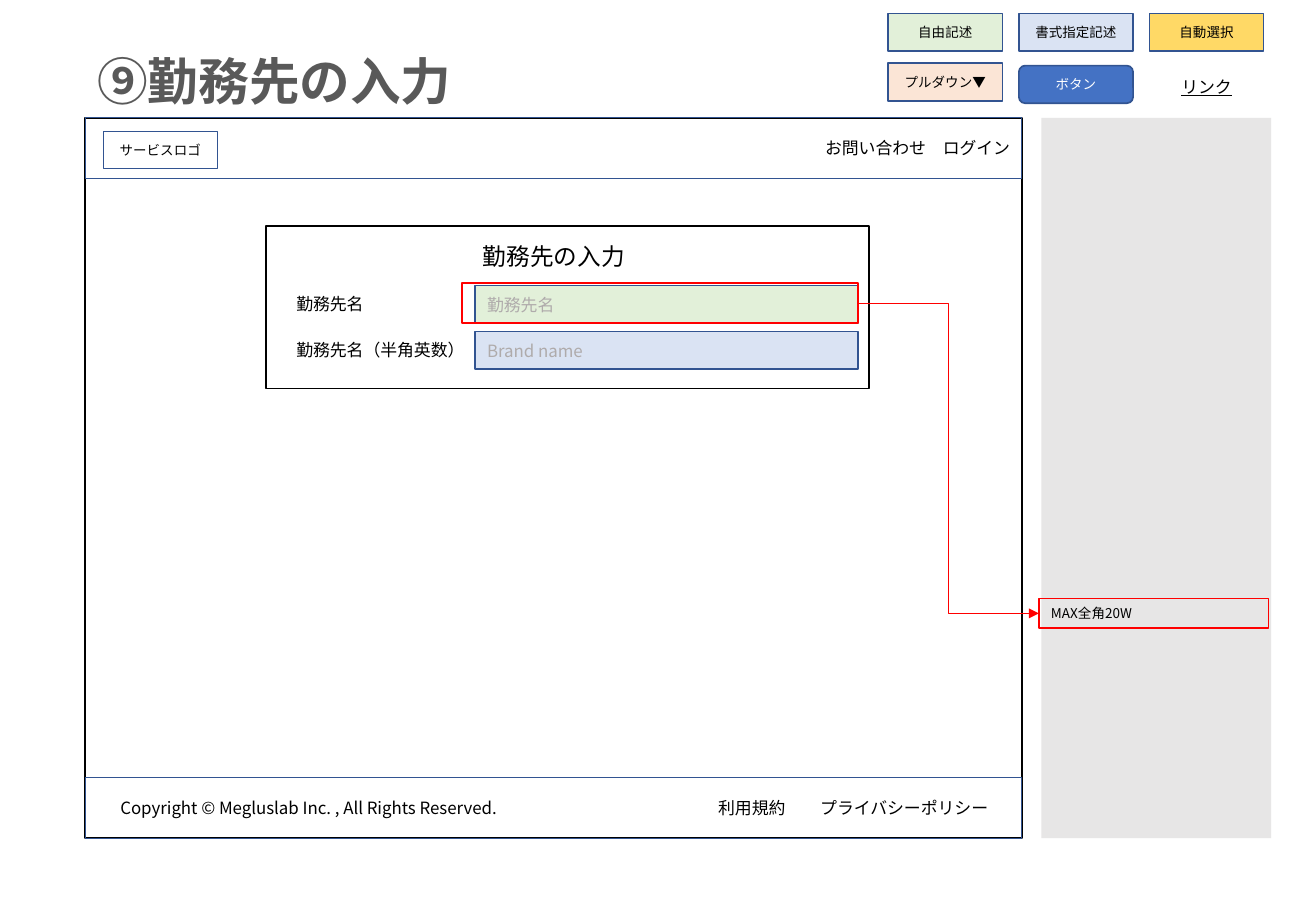
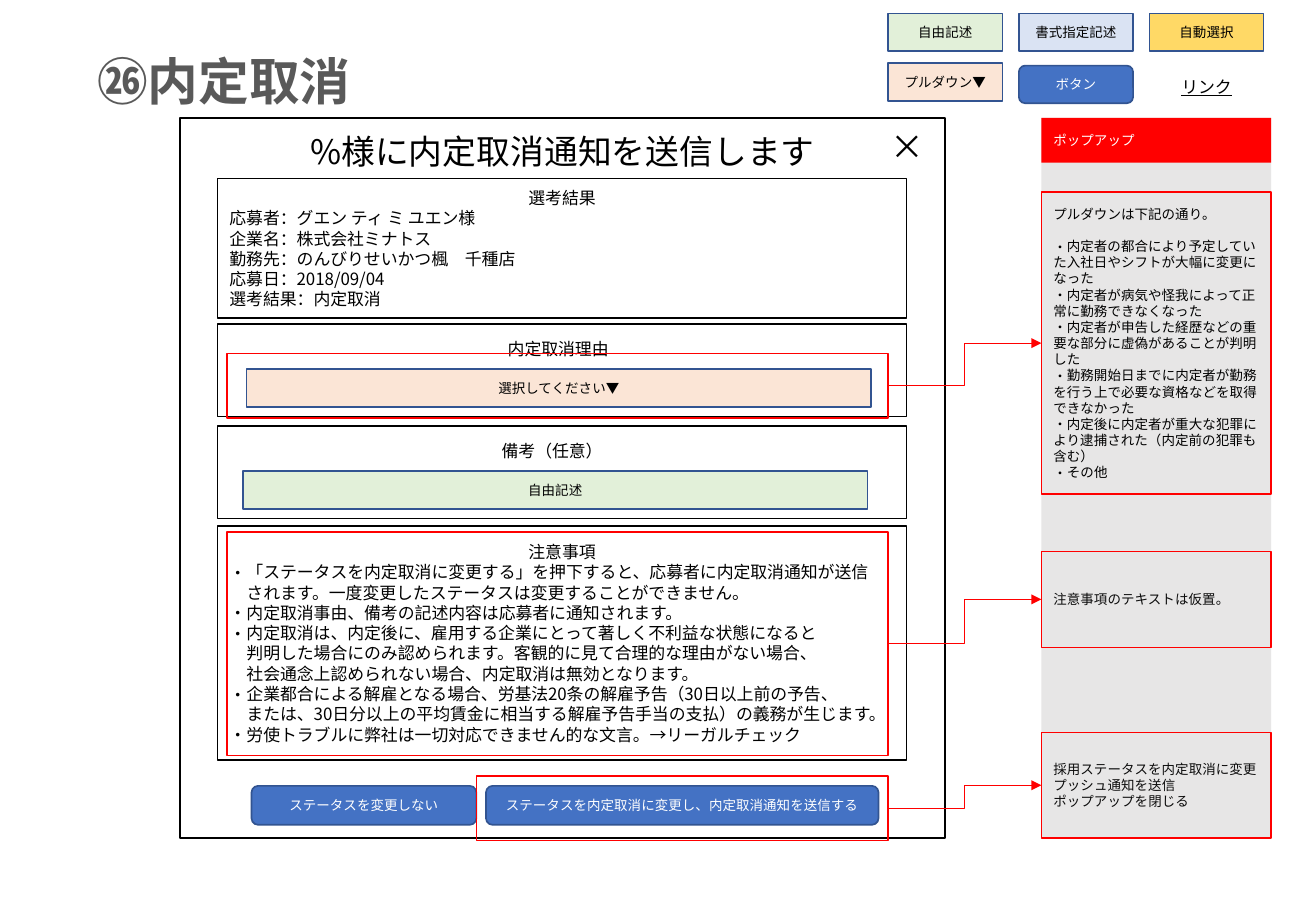
from copy import deepcopy
from dataclasses import dataclass

from pptx import Presentation
from pptx.dml.color import RGBColor
from pptx.enum.shapes import MSO_CONNECTOR as Connector, MSO_SHAPE as Preset
from pptx.enum.text import MSO_ANCHOR as Anchor, MSO_AUTO_SIZE as AutoSize, PP_ALIGN as Align
from pptx.oxml.ns import qn
from pptx.oxml.xmlchemy import OxmlElement
from pptx.util import Inches, Pt

FONT = "Noto Sans CJK JP"
BLACK = RGBColor(0x00, 0x00, 0x00)
INK = RGBColor(0x0D, 0x0D, 0x0D)
WHITE = RGBColor(0xFF, 0xFF, 0xFF)
TITLE_GRAY = RGBColor(0x59, 0x59, 0x59)
HINT_GRAY = RGBColor(0xAF, 0xAB, 0xAB)
PANEL_GRAY = RGBColor(0xE7, 0xE6, 0xE6)
NAVY = RGBColor(0x32, 0x54, 0x91)
BLUE = RGBColor(0x44, 0x72, 0xC4)
PALE_BLUE = RGBColor(0xDA, 0xE3, 0xF3)
GREEN = RGBColor(0xE2, 0xF0, 0xD9)
PEACH = RGBColor(0xFB, 0xE5, 0xD6)
YELLOW = RGBColor(0xFF, 0xD9, 0x66)
RED = RGBColor(0xFF, 0x00, 0x00)


@dataclass
class Box:
    """A rectangle in inches."""
    left: float
    top: float
    width: float
    height: float

    def inside(self, x, y, width, height):
        """Return a box placed relative to this one."""
        return Box(self.left + x, self.top + y, width, height)

    def lengths(self):
        """Return left, top, width and height as lengths."""
        return [Inches(value) for value in (self.left, self.top, self.width, self.height)]


TITLE = Box(0.7, 0.36, 9.39, 0.61)
LEGEND = Box(7.31, 0.11, 3.09, 0.72)
PANEL = Box(8.57, 0.97, 1.89, 5.93)
PAGE = Box(0.7, 0.97, 7.71, 5.93)
POPUP = Box(1.48, 0.97, 6.3, 5.93)


def add_element(parent, tag, **attributes):
    """Append an XML element with attributes."""
    element = OxmlElement(tag)
    for name, value in attributes.items():
        element.set(name, str(value))
    parent.append(element)
    return element


def write(shape, text, size=10, color=BLACK, align=Align.LEFT, anchor=Anchor.MIDDLE,
          bold=False, underline=False, bullet=None, tabs=(), space_after=0):
    """Add a paragraph, or a list of them, to a shape."""
    frame = shape.text_frame
    frame.word_wrap = True
    frame.vertical_anchor = anchor
    for line in [text] if isinstance(text, str) else text:
        paragraph = frame.add_paragraph() if frame.text else frame.paragraphs[0]
        paragraph.text = line
        paragraph.alignment = align
        paragraph.space_before = Pt(0)
        paragraph.space_after = Pt(space_after)
        properties = paragraph._p.get_or_add_pPr()
        if bullet is not None:
            properties.set("marL", str(Inches(bullet)))
            properties.set("indent", str(-Inches(bullet)))
            add_element(properties, "a:buFont", typeface=FONT)
            add_element(properties, "a:buChar", char="・")
        if tabs:
            tab_list = add_element(properties, "a:tabLst")
            for position in tabs:
                add_element(tab_list, "a:tab", pos=Inches(position), algn="l")
        for run in paragraph.runs:
            font = run.font
            font.name, font.size = FONT, Pt(size)
            font.bold, font.underline = bold, underline
            font.color.rgb = color
            add_element(run._r.get_or_add_rPr(), "a:ea", typeface=FONT)
        for line_break in paragraph._p.findall(qn("a:br")):
            line_break.append(deepcopy(paragraph.runs[0]._r.rPr))
    return shape


def add_box(slide, box, text="", fill=None, line=None, weight=1.0,
            preset=Preset.RECTANGLE, **text_format):
    """Add a preset shape with optional fill, line and text."""
    shape = slide.shapes.add_shape(preset, *box.lengths())
    shape.shadow.inherit = False
    if fill is None:
        shape.fill.background()
    else:
        shape.fill.solid()
        shape.fill.fore_color.rgb = fill
    if line is None:
        shape.line.fill.background()
    else:
        shape.line.color.rgb = line
        shape.line.width = Pt(weight)
    if text:
        write(shape, text, **text_format)
    return shape


def add_label(slide, box, text, **text_format):
    """Add a plain text box."""
    return write(slide.shapes.add_textbox(*box.lengths()), text, anchor=Anchor.TOP, **text_format)


def add_control(slide, box, text, fill, size=8, align=Align.CENTER, **options):
    """Add a form control with a navy outline."""
    return add_box(slide, box, text, fill=fill, line=NAVY, size=size, align=align, **options)


def add_button(slide, box, text):
    """Add a rounded blue button."""
    return add_control(slide, box, text, BLUE, preset=Preset.ROUNDED_RECTANGLE, color=WHITE)


def add_note(slide, box, text, source, color=INK, weight=1.0):
    """Add a red note and the arrow that leads to it."""
    note = add_box(slide, box, text, line=RED, weight=weight, size=8, color=color)
    arrow = slide.shapes.add_connector(Connector.ELBOW, 0, 0, 0, 0)
    arrow.begin_connect(source, 3)
    arrow.end_connect(note, 1)
    arrow.line.color.rgb = RED
    arrow.line.width = Pt(0.5)
    add_element(arrow.line._get_or_add_ln(), "a:tailEnd", type="triangle")
    add_element(arrow._element.spPr, "a:effectLst")
    return note


def add_legend(slide, box):
    """Add the key to the kinds of control."""
    width, height = 0.94, 0.31
    step_x = (box.width - width) / 2
    step_y = box.height - height
    top_row = [("自由記述", GREEN), ("書式指定記述", PALE_BLUE), ("自動選択", YELLOW)]
    for column, (text, fill) in enumerate(top_row):
        add_control(slide, box.inside(column * step_x, 0, width, height), text, fill)
    add_control(slide, box.inside(0, step_y, width, height), "プルダウン▼", PEACH)
    add_button(slide, box.inside(step_x, step_y + 0.02, width, height), "ボタン")
    add_label(slide, box.inside(2 * step_x, step_y + 0.06, width, 0.27), "リンク",
              align=Align.CENTER, underline=True)


def start_slide(presentation, title):
    """Add a slide with its title, legend and side panel."""
    slide = presentation.slides.add_slide(presentation.slide_layouts[5])
    heading = slide.shapes.title
    heading.left, heading.top, heading.width, heading.height = TITLE.lengths()
    heading.text_frame.auto_size = AutoSize.NONE
    write(heading, title, size=30, color=TITLE_GRAY, bold=True, anchor=Anchor.TOP)
    add_legend(slide, LEGEND)
    add_box(slide, PANEL, fill=PANEL_GRAY)
    return slide


def add_page(slide, box):
    """Add the web page frame with its header and footer."""
    bar = 0.5
    add_box(slide, box, line=BLACK)
    add_box(slide, box.inside(0, 0, box.width, bar), "お問い合わせ　ログイン",
            line=NAVY, weight=0.5, align=Align.RIGHT)
    add_control(slide, box.inside(0.15, 0.11, 0.94, 0.31), "サービスロゴ", None, weight=0.5)
    footer = add_box(slide, box.inside(0, box.height - bar, box.width, bar),
                     "Copyright © Megluslab Inc. , All Rights Reserved.\t利用規約\tプライバシーポリシー",
                     line=NAVY, weight=0.5, tabs=(4.92, 5.76))
    footer.text_frame.margin_left = Inches(0.29)


def add_workplace_form(slide, box):
    """Add the workplace form and return its marked field."""
    add_box(slide, box, line=BLACK)
    add_label(slide, box.inside(-0.11, 0.08, box.width, 0.34), "勤務先の入力",
              size=14, align=Align.CENTER)
    rows = [("勤務先名", "勤務先名", GREEN), ("勤務先名（半角英数）", "Brand name", PALE_BLUE)]
    for index, (label, hint, fill) in enumerate(rows):
        top = 0.49 + index * 0.38
        add_label(slide, box.inside(0.15, top + 0.02, 1.74, 0.27), label)
        add_control(slide, box.inside(1.72, top, 3.15, 0.31), hint, fill,
                    size=10, color=HINT_GRAY, align=Align.LEFT)
    return add_box(slide, box.inside(1.61, 0.47, 3.26, 0.33), line=RED)


def add_result(slide, box):
    """Add the selection result."""
    result = add_box(slide, box, "選考結果", line=BLACK, align=Align.CENTER)
    write(result, ["応募者：グエン ティ ミ ユエン様", "企業名：株式会社ミナトス",
                   "勤務先：のんびりせいかつ楓　千種店", "応募日：2018/09/04", "選考結果：内定取消"])


def add_input_section(slide, box, heading, heading_x, control, control_x, fill):
    """Add a framed section with a heading and one control."""
    add_box(slide, box, line=BLACK)
    add_label(slide, box.inside(heading_x, 0.07, 1.18, 0.27), heading)
    add_control(slide, box.inside(control_x, 0.37, 5.14, 0.31), control, fill)


def add_cautions(slide, box):
    """Add the cautions and return their red frame."""
    cautions = add_box(slide, box, "注意事項", line=BLACK, align=Align.CENTER)
    write(cautions, [
        "「ステータスを内定取消に変更する」を押下すると、応募者に内定取消通知が送信\v"
        "されます。一度変更したステータスは変更することができません。",
        "内定取消事由、備考の記述内容は応募者に通知されます。",
        "内定取消は、内定後に、雇用する企業にとって著しく不利益な状態になると\v"
        "判明した場合にのみ認められます。客観的に見て合理的な理由がない場合、\v"
        "社会通念上認められない場合、内定取消は無効となります。",
        "企業都合による解雇となる場合、労基法20条の解雇予告（30日以上前の予告、\v"
        "または、30日分以上の平均賃金に相当する解雇予告手当の支払）の義務が生じます。",
        "労使トラブルに弊社は一切対応できません的な文言。→リーガルチェック",
    ], bullet=0.14)
    return add_box(slide, box.inside(0.08, 0.05, 5.44, 1.84), line=RED)


def add_popup(slide, box):
    """Add the cancellation popup and return its three red frames."""
    add_box(slide, box, line=BLACK)
    add_label(slide, box.inside(0, 0.06, box.width, 0.44), "%様に内定取消通知を送信します",
              size=20, align=Align.CENTER)
    add_label(slide, box.inside(5.67, 0.02, 0.63, 0.44), "×", size=20, align=Align.CENTER)
    left, width = 0.31, 5.67
    add_result(slide, box.inside(left, 0.5, width, 1.15))
    add_input_section(slide, box.inside(left, 1.7, width, 0.76), "内定取消理由", 2.29,
                      "選択してください▼", 0.24, PEACH)
    add_input_section(slide, box.inside(left, 2.54, width, 0.76), "備考（任意）", 2.24,
                      "自由記述", 0.21, GREEN)
    reason = add_box(slide, box.inside(0.39, 1.94, 5.44, 0.53), line=RED)
    cautions = add_cautions(slide, box.inside(left, 3.36, width, 1.93))
    add_button(slide, box.inside(0.59, 5.5, 1.85, 0.32), "ステータスを変更しない")
    add_button(slide, box.inside(2.52, 5.5, 3.23, 0.32),
               "ステータスを内定取消に変更し、内定取消通知を送信する")
    send = add_box(slide, box.inside(2.44, 5.42, 3.39, 0.53), line=RED)
    return reason, cautions, send


def add_popup_notes(slide, box, reason, cautions, send):
    """Add the side panel notes for the popup."""
    add_box(slide, box.inside(0, 0, box.width, 0.37), "ポップアップ", fill=RED, size=8, color=WHITE)
    choices = add_note(slide, box.inside(0, 0.61, box.width, 2.49), "", reason)
    write(choices, "プルダウンは下記の通り。", size=8, space_after=9.6)
    write(choices, [
        "内定者の都合により予定していた入社日やシフトが大幅に変更になった",
        "内定者が病気や怪我によって正常に勤務できなくなった",
        "内定者が申告した経歴などの重要な部分に虚偽があることが判明した",
        "勤務開始日までに内定者が勤務を行う上で必要な資格などを取得できなかった",
        "内定後に内定者が重大な犯罪により逮捕された（内定前の犯罪も含む）",
        "その他",
    ], size=8, bullet=0, tabs=(0.11,))
    add_note(slide, box.inside(0, 3.57, box.width, 0.79), "注意事項のテキストは仮置。", cautions)
    add_note(slide, box.inside(0, 5.06, box.width, 0.87),
             ["採用ステータスを内定取消に変更", "プッシュ通知を送信", "ポップアップを閉じる"], send)


def build_workplace_slide(presentation):
    """Build the workplace entry slide."""
    slide = start_slide(presentation, "⑨勤務先の入力")
    add_page(slide, PAGE)
    field = add_workplace_form(slide, PAGE.inside(1.49, 0.89, 4.96, 1.34))
    add_note(slide, PANEL.inside(-0.02, 3.96, PANEL.width, 0.24), "MAX全角20W", field,
             color=BLACK, weight=0.75)


def build_cancellation_slide(presentation):
    """Build the offer cancellation slide."""
    slide = start_slide(presentation, "㉖内定取消")
    add_popup_notes(slide, PANEL, *add_popup(slide, POPUP))


def main():
    """Build and save the presentation."""
    presentation = Presentation()
    presentation.slide_width = Inches(10.83)
    presentation.slide_height = Inches(7.5)
    build_workplace_slide(presentation)
    build_cancellation_slide(presentation)
    presentation.save("out.pptx")


if __name__ == "__main__":
    main()
